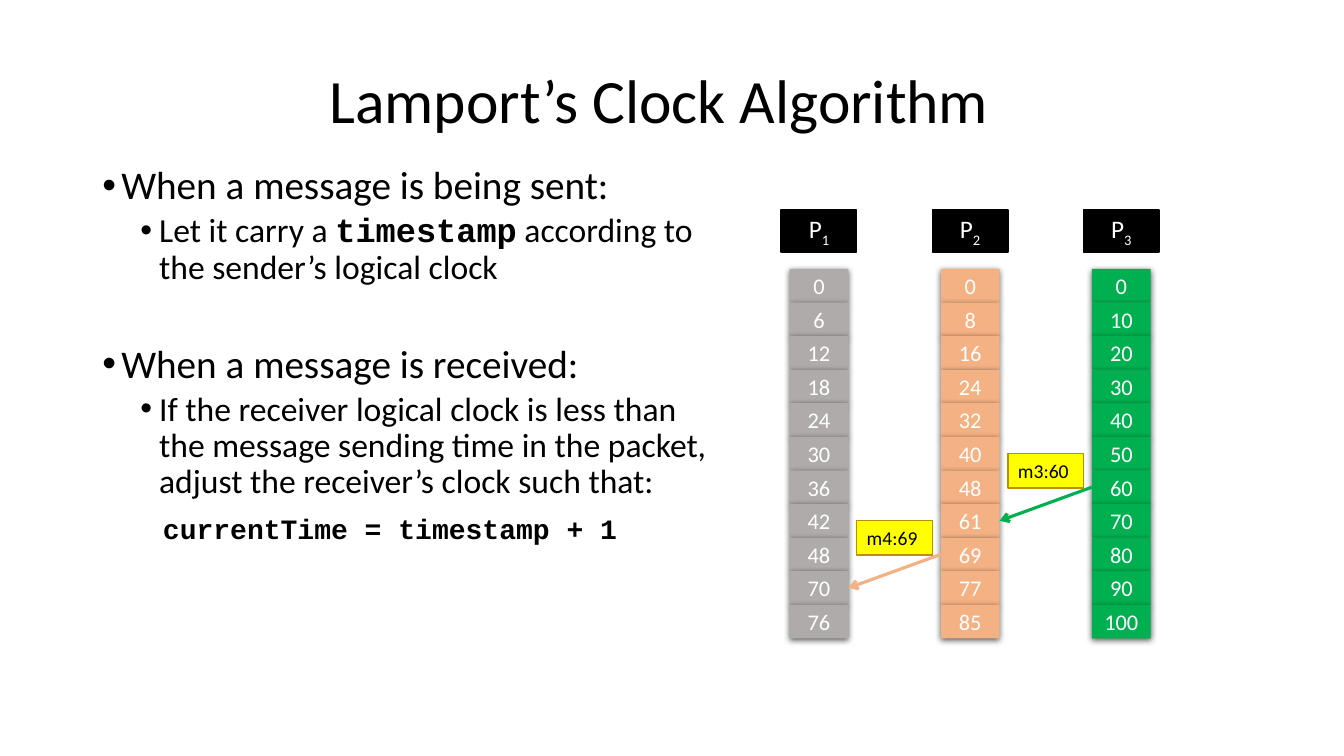
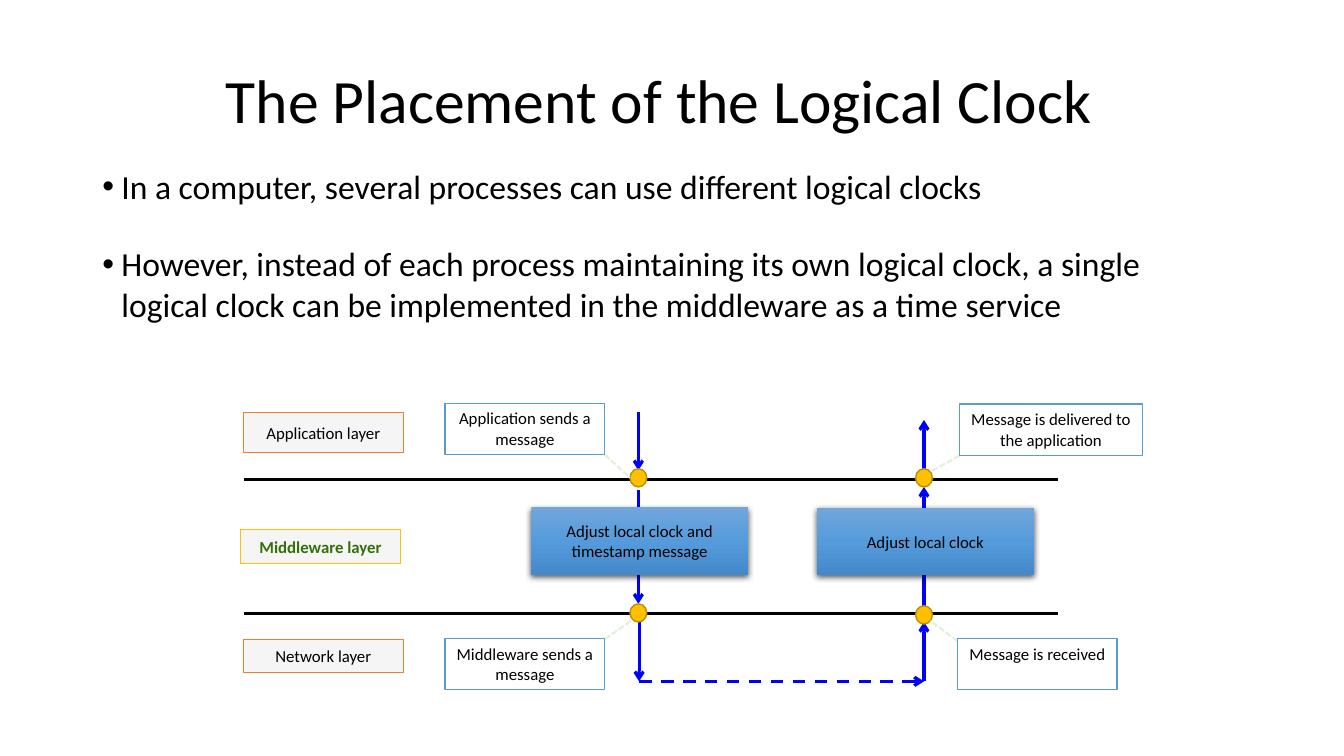
from dataclasses import dataclass
from typing import Optional

from lxml.etree import SubElement
from pptx import Presentation
from pptx.dml.color import RGBColor
from pptx.enum.dml import MSO_LINE
from pptx.enum.shapes import MSO_CONNECTOR, MSO_SHAPE
from pptx.enum.text import MSO_ANCHOR, MSO_AUTO_SIZE, PP_ALIGN
from pptx.oxml import parse_xml
from pptx.oxml.ns import nsdecls, qn
from pptx.util import Pt

# Shared look
FONT, MONO = "Calibri", "Courier New"
BLACK, WHITE = "000000", "FFFFFF"
GREY, PEACH, GREEN = "AFABAB", "F4B183", "00B050"
YELLOW, AMBER, DARK_AMBER = "FFFF00", "FFC000", "BD8E00"
PALE_GREY, ORANGE, DARK_GREEN = "F5F5F5", "ED7D31", "336F0A"
ARROW_BLUE, NOTE_BLUE, PALE_GREEN = "0000FF", "5B9BD5", "E2F0D9"
BLUE_GRADIENT = ((0, "71A6DB"), (50, "559BDB"), (100, "448ACA"))
TITLE_BOX = (138, 21.5, 666, 104.5)
HANGING = 13.5


@dataclass(frozen=True)
class Bullet:
    """One body paragraph; runs marked True are bold monospaced."""
    runs: tuple
    size: float
    left: float = HANGING
    level: int = 0
    before: float = 7.5
    after: float = 0
    spacing: float = 0.9
    symbol: bool = True


@dataclass(frozen=True)
class Style:
    """Look of a rectangle or ellipse and of its text."""
    fill: Optional[str] = None
    line: Optional[str] = None
    line_width: float = 1
    shadow: bool = False
    size: float = 12
    color: str = BLACK
    bold: bool = False
    align: PP_ALIGN = PP_ALIGN.CENTER
    anchor: MSO_ANCHOR = MSO_ANCHOR.MIDDLE


@dataclass(frozen=True)
class Box:
    text: str
    left: float
    top: float
    width: float
    height: float
    style: Style


@dataclass(frozen=True)
class Process:
    color: str
    clock: tuple


@dataclass(frozen=True)
class Message:
    """A message from one clock cell to the next row of the process before."""
    text: str
    sender: int
    row: int


@dataclass(frozen=True)
class Stroke:
    color: str
    width: float = 2.25
    dash: Optional[MSO_LINE] = None
    arrow: bool = False


HEADER = Style(BLACK, BLACK, size=18, color=WHITE)
TAG = Style(YELLOW, DARK_AMBER, size=14, align=PP_ALIGN.LEFT, anchor=MSO_ANCHOR.TOP)
LAYER = Style(PALE_GREY, ORANGE, 0.75)
MIDDLE_LAYER = Style(PALE_GREY, AMBER, 0.75, color=DARK_GREEN, bold=True)
NOTE = Style(WHITE, NOTE_BLUE, anchor=MSO_ANCHOR.TOP)
STEP = Style(shadow=True)
DOT = Style(AMBER, DARK_AMBER)
BOUNDARY = Stroke(BLACK)
FLOW = Stroke(ARROW_BLUE, arrow=True)
NETWORK_FLOW = Stroke(ARROW_BLUE, dash=MSO_LINE.DASH, arrow=True)
LEADER = Stroke(PALE_GREEN, 1.5, MSO_LINE.SQUARE_DOT)


def rgb(value: str) -> RGBColor:
    return RGBColor.from_string(value)


def set_font(font, size: float, color: str = BLACK, bold: bool = False) -> None:
    font.name, font.size, font.bold = FONT, Pt(size), bold
    font.color.rgb = rgb(color)


def place(shape, left: float, top: float, width: float, height: float) -> None:
    shape.left, shape.top = Pt(left), Pt(top)
    shape.width, shape.height = Pt(width), Pt(height)


def add_bullet(paragraph, bullet: Bullet) -> None:
    paragraph.level = bullet.level
    paragraph.line_spacing = bullet.spacing
    paragraph.space_before, paragraph.space_after = Pt(bullet.before), Pt(bullet.after)
    properties = paragraph._p.get_or_add_pPr()
    properties.set("marL", str(Pt(bullet.left)))
    properties.set("indent", str(Pt(-HANGING if bullet.symbol else 0)))
    if bullet.symbol:
        SubElement(properties, qn("a:buFont"), typeface="Arial")
        SubElement(properties, qn("a:buChar"), char="•")
    else:
        SubElement(properties, qn("a:buNone"))
    set_font(paragraph.font, bullet.size)
    for text, mono in bullet.runs:
        run = paragraph.add_run()
        run.text = text
        if mono:
            run.font.name, run.font.bold = MONO, True


def add_content_slide(presentation, title: str, body_box: tuple, bullets: tuple):
    slide = presentation.slides.add_slide(presentation.slide_layouts[1])
    heading, body = slide.shapes.title, slide.placeholders[1]
    place(heading, *TITLE_BOX)
    heading.text_frame.text = title
    heading.text_frame.vertical_anchor = MSO_ANCHOR.MIDDLE
    paragraph = heading.text_frame.paragraphs[0]
    paragraph.alignment, paragraph.line_spacing = PP_ALIGN.CENTER, 0.9
    set_font(paragraph.font, 44)
    place(body, *body_box)
    frame = body.text_frame
    frame.auto_size = MSO_AUTO_SIZE.NONE
    for index, bullet in enumerate(bullets):
        add_bullet(frame.add_paragraph() if index else frame.paragraphs[0], bullet)
    return slide


def add_shadow(shape) -> None:
    effects = shape._element.spPr.find(qn("a:effectLst"))
    shadow = SubElement(effects, qn("a:outerShdw"), blurRad=str(Pt(4.5)),
                        dist=str(Pt(1.5)), dir="5400000", rotWithShape="0")
    color = SubElement(shadow, qn("a:srgbClr"), val=BLACK)
    SubElement(color, qn("a:alpha"), val="63000")


def fill_gradient(shape) -> None:
    stops = "".join(f'<a:gs pos="{position * 1000}"><a:srgbClr val="{color}"/></a:gs>'
                    for position, color in BLUE_GRADIENT)
    gradient = parse_xml(f'<a:gradFill {nsdecls("a")} rotWithShape="1"><a:gsLst>{stops}'
                         '</a:gsLst><a:lin ang="5400000" scaled="0"/></a:gradFill>')
    shape._element.spPr.find(qn("a:prstGeom")).addnext(gradient)


def add_box(slide, box: Box, kind: MSO_SHAPE = MSO_SHAPE.RECTANGLE):
    style = box.style
    shape = slide.shapes.add_shape(kind, Pt(box.left), Pt(box.top),
                                   Pt(box.width), Pt(box.height))
    shape.shadow.inherit = False
    if style.fill:
        shape.fill.solid()
        shape.fill.fore_color.rgb = rgb(style.fill)
    else:
        fill_gradient(shape)
    if style.line:
        shape.line.color.rgb = rgb(style.line)
        shape.line.width = Pt(style.line_width)
    else:
        shape.line.fill.background()
    if style.shadow:
        add_shadow(shape)
    if box.text:
        frame = shape.text_frame
        frame.word_wrap, frame.vertical_anchor = True, style.anchor
        frame.text = box.text
        paragraph = frame.paragraphs[0]
        paragraph.alignment = style.align
        set_font(paragraph.font, style.size, style.color, style.bold)
    return shape


def add_line(slide, stroke: Stroke, x1: float, y1: float, x2: float, y2: float):
    connector = slide.shapes.add_connector(MSO_CONNECTOR.STRAIGHT,
                                           Pt(x1), Pt(y1), Pt(x2), Pt(y2))
    connector.line.color.rgb = rgb(stroke.color)
    connector.line.width = Pt(stroke.width)
    if stroke.dash:
        connector.line.dash_style = stroke.dash
    if stroke.arrow:
        SubElement(connector.line._get_or_add_ln(), qn("a:tailEnd"), type="arrow")
    SubElement(connector._element.spPr, qn("a:effectLst"))
    return connector


def build_algorithm(presentation) -> None:
    slide = add_content_slide(presentation, "Lamport’s Clock Algorithm", (66, 115, 461.5, 390), (
        Bullet((("When a message is being sent:", False),), 28),
        Bullet((("Let it carry a ", False), ("timestamp", True),
                (" according to the sender’s logical clock", False)), 24, 40.5, 1, 3.8),
        Bullet((("When a message is received:", False),), 28, before=41.5),
        Bullet((("If the receiver logical clock is less than the message sending time in "
                 "the packet, adjust the receiver’s clock such that:", False),),
               24, 40.5, 1, 3.8),
        Bullet((("currentTime = timestamp + 1", True),), 20, 43.2, before=10.5, symbol=False),
    ))
    processes = (
        Process(GREY, (*range(0, 49, 6), 70, 76)),
        Process(PEACH, (*range(0, 49, 8), 61, 69, 77, 85)),
        Process(GREEN, tuple(range(0, 101, 10))),
    )
    messages = (Message("m3:60", 2, 6), Message("m4:69", 1, 8))
    left, top, pitch, width, row_height = 564, 192, 108, 42, 24

    # Process headers and clock columns
    columns = []
    for index, process in enumerate(processes):
        x = left + index * pitch
        header = add_box(slide, Box("P", x - 6, 150, 54, 30, HEADER))
        subscript = header.text_frame.paragraphs[0].add_run()
        subscript.text = str(index + 1)
        subscript.font._element.set("baseline", "-25000")
        style = Style(process.color, shadow=True, size=16, color=WHITE)
        columns.append([add_box(slide, Box(str(tick), x, top + row * row_height,
                                           width, row_height, style))
                        for row, tick in enumerate(process.clock)])

    # Messages between clocks
    for message in messages:
        arrow = add_line(slide, Stroke(processes[message.sender].color, arrow=True), 0, 0, 0, 0)
        arrow.begin_connect(columns[message.sender][message.row], 1)
        arrow.end_connect(columns[message.sender - 1][message.row + 1], 3)
        add_box(slide, Box(message.text, left + message.sender * pitch - 60,
                           top + (message.row - 0.5) * row_height, 54, 24.5, TAG))


def build_placement(presentation) -> None:
    paragraph_format = dict(size=24, after=6, spacing=1.0)
    slide = add_content_slide(
        presentation, "The Placement of the Logical Clock", (66, 115, 816, 356.5), (
            Bullet((("In a computer, several processes can use different logical clocks",
                     False),), before=6, **paragraph_format),
            Bullet((("However, instead of each process maintaining its own logical clock, "
                     "a single logical clock can be implemented in the middleware as a "
                     "time service", False),), before=20.4, **paragraph_format),
        ))
    send, receive, upper, lower, network = 456, 660, 342.7, 438.5, 486.7

    # Layer boundaries and message flow
    for y in (upper, lower):
        add_line(slide, BOUNDARY, 174, y, 756, y)
    for x, start, end in ((send, 294.5, 336), (send, 350, 431.3), (send + 0.5, 444.2, network),
                          (receive, network, 444.2), (receive, 432.7, 347.8),
                          (receive, 334.8, 300)):
        add_line(slide, FLOW, x, start, x, end)
    add_line(slide, NETWORK_FLOW, send + 0.5, network, receive, network)

    # Crossing points
    for x, y in ((send, 341.3), (send, 437.8), (receive, 341.3), (receive, 439.2)):
        add_box(slide, Box("", x - 6, y - 6.5, 12, 13, DOT), MSO_SHAPE.OVAL)

    # Leaders from notes to crossing points
    for ends in ((432, 324.7, 450, 341.3), (432, 456.5, 451.5, 443),
                 (684, 458, 664.6, 443.5), (685.5, 325.4, 664.6, 337)):
        add_line(slide, LEADER, *ends)

    # Layers, clock steps and notes
    for box in (
        Box("Application layer", 174, 294.5, 114, 29, LAYER),
        Box("Middleware layer", 172, 378.5, 114, 24, MIDDLE_LAYER),
        Box("Network layer", 174, 456.5, 114, 24, LAYER),
        Box("Adjust local clock and timestamp message", 379.5, 362.5, 155, 48, STEP),
        Box("Adjust local clock", 583.5, 363, 155, 48, STEP),
        Box("Application sends a message", 318, 288, 114, 36.7, NOTE),
        Box("Middleware sends a message", 318, 456, 114, 36.7, NOTE),
        Box("Message is received", 684, 456, 114, 36.7, NOTE),
        Box("Message is delivered to the application", 685.5, 288.7, 130.5, 36.7, NOTE),
    ):
        add_box(slide, box)


def main() -> None:
    presentation = Presentation()
    presentation.slide_width, presentation.slide_height = Pt(960), Pt(540)
    build_algorithm(presentation)
    build_placement(presentation)
    presentation.save("out.pptx")


if __name__ == "__main__":
    main()
